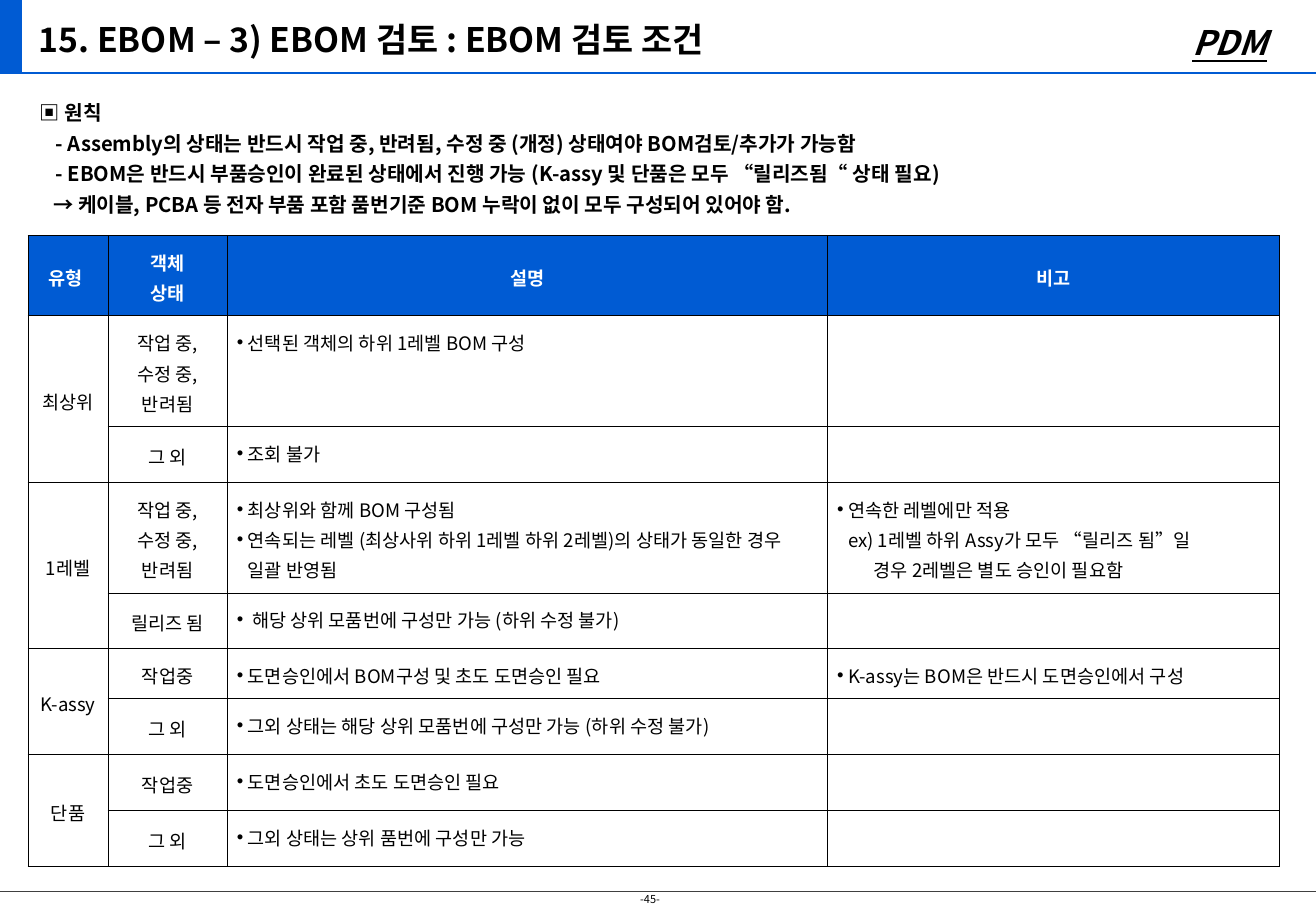
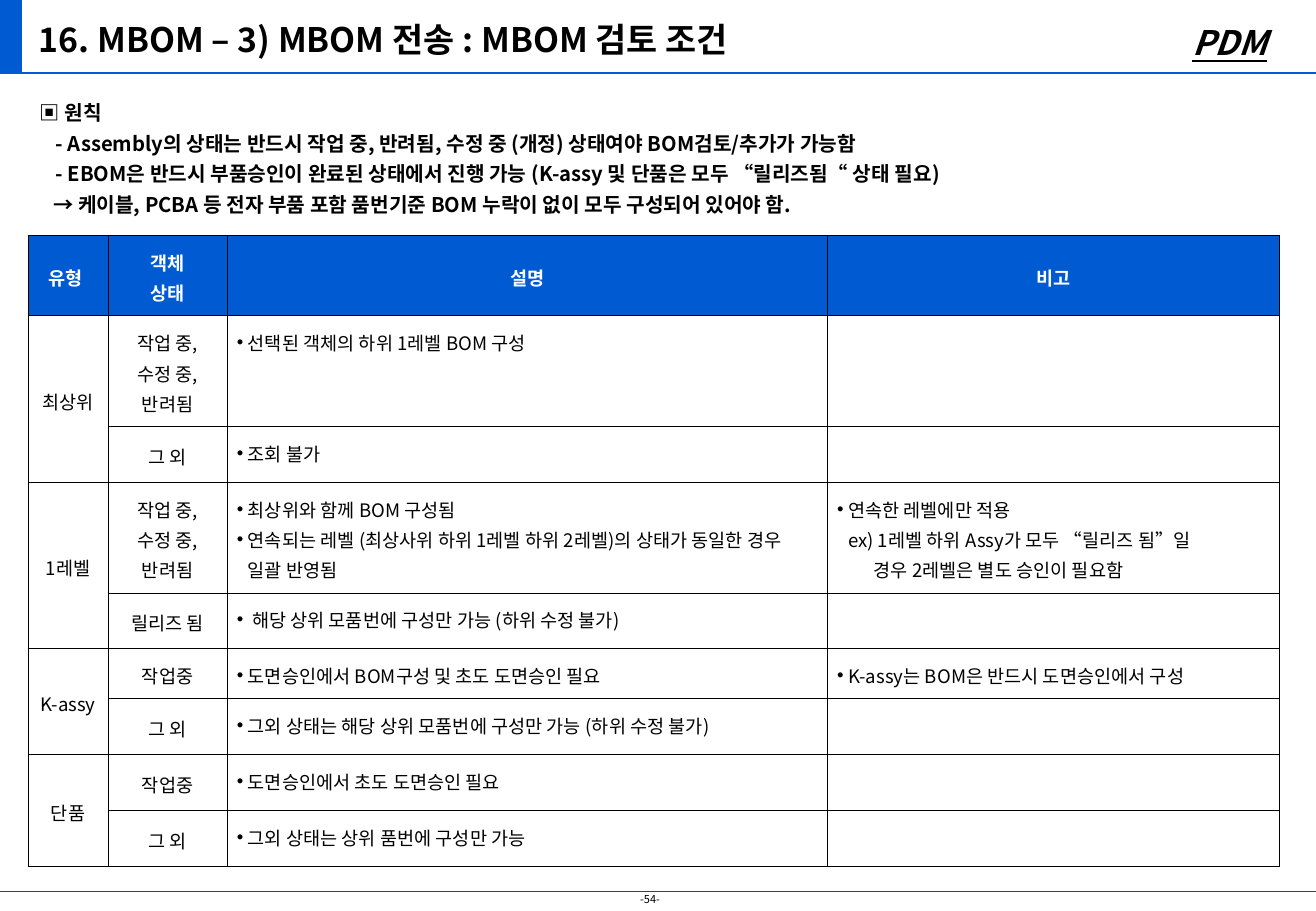
from dataclasses import dataclass

from lxml.etree import SubElement
from pptx import Presentation
from pptx.dml.color import RGBColor as RGB
from pptx.enum.shapes import MSO_CONNECTOR as CONN, MSO_SHAPE as SHAPE
from pptx.enum.text import MSO_ANCHOR as ANCHOR, MSO_AUTO_SIZE as AUTO, PP_ALIGN as ALIGN
from pptx.oxml.ns import qn
from pptx.util import Pt

PX = 9144  # 100 px to the inch


@dataclass(frozen=True)
class Theme:
    font: str = "Noto Sans CJK KR"
    blue: RGB = RGB(0x00, 0x5B, 0xD3)
    black: RGB = RGB(0, 0, 0)
    white: RGB = RGB(255, 255, 255)
    rule: RGB = RGB(0x40, 0x40, 0x40)
    title: float = 20
    body: float = 12
    cell: float = 11
    page: float = 6.5
    leading: int = 18


T = Theme()
SLIDE = (1083, 750)
COLS = (66, 98, 494, 372)
LINE, INSET, HANG = 25, 8, 9

PRINCIPLES = [  # text, indent
    ("▣ 원칙", 0),
    ("- Assembly의 상태는 반드시 작업 중, 반려됨, 수정 중 (개정) 상태여야 BOM검토/추가가 가능함", 13),
    ("- EBOM은 반드시 부품승인이 완료된 상태에서 진행 가능 (K-assy 및 단품은 모두 “릴리즈됨“ 상태 필요)", 13),
    ("→ 케이블, PCBA 등 전자 부품 포함 품번기준 BOM 누락이 없이 모두 구성되어 있어야 함.", 11),
]
HEADER = (["유형 "], ["객체", "상태"], ["설명"], ["비고"])
EDITING = ["작업 중,", "수정 중,", "반려됨"]
# type: its two rows of (status, description, remark)
GROUPS = {
    "최상위": [
        (EDITING, ["선택된 객체의 하위 1레벨 BOM 구성"], []),
        (["그 외"], ["조회 불가"], []),
    ],
    "1레벨": [
        (EDITING,
         ["최상위와 함께 BOM 구성됨",
          "연속되는 레벨 (최상사위 하위 1레벨 하위 2레벨)의 상태가 동일한 경우 일괄 반영됨"],
         ["연속한 레벨에만 적용",
          ("ex) 1레벨 하위 Assy가 모두 “릴리즈 됨”일", HANG),
          ("경우 2레벨은 별도 승인이 필요함", 30)]),
        (["릴리즈 됨"], [" 해당 상위 모품번에 구성만 가능 (하위 수정 불가)"], []),
    ],
    "K-assy": [
        (["작업중"], ["도면승인에서 BOM구성 및 초도 도면승인 필요"],
         ["K-assy는 BOM은 반드시 도면승인에서 구성"]),
        (["그 외"], ["그외 상태는 해당 상위 모품번에 구성만 가능 (하위 수정 불가)"], []),
    ],
    "단품": [
        (["작업중"], ["도면승인에서 초도 도면승인 필요"], []),
        (["그 외"], ["그외 상태는 상위 품번에 구성만 가능"], []),
    ],
}


def emu(*lengths):
    return [round(n * PX) for n in lengths]


def apply(target, fmt):
    for name, value in fmt.items():
        setattr(target, name, value)


# --- text ---
def add_run(p, text, size, color=T.black, **fmt):
    r = p.add_run()
    r.text = text
    apply(r.font, {"name": T.font, "size": Pt(size), **fmt})
    r.font.color.rgb = color
    SubElement(r.font._element, qn("a:ea"), typeface=T.font)


def set_indent(p, left, first=0, bullet=None):
    pPr = p._p.get_or_add_pPr()
    for name, value in zip(("marL", "indent"), emu(left, first)):
        pPr.set(name, str(value))
    if bullet:
        SubElement(pPr, qn("a:buFont"), typeface="Arial")
        SubElement(pPr, qn("a:buChar"), char=bullet)


def paragraphs(tf, count):
    return [tf.paragraphs[0]] + [tf.add_paragraph() for _ in range(count - 1)]


def add_box(s, box, **fmt):
    tf = s.shapes.add_textbox(*emu(*box)).text_frame
    apply(tf, {"word_wrap": True, "auto_size": AUTO.SHAPE_TO_FIT_TEXT, **fmt})
    return tf


def add_rule(s, x1, x2, y, color, width):
    line = s.shapes.add_connector(CONN.STRAIGHT, *emu(x1, y, x2, y))
    line.line.color.rgb = color
    line.line.width = Pt(width)
    SubElement(line._element.spPr, qn("a:effectLst"))


# --- header band and footer ---
def add_frame(s, title, page, width):
    sp = s.shapes.add_shape(SHAPE.RECTANGLE, *emu(-2, 0, 20, 60))
    sp.shadow.inherit = False
    sp.fill.solid()
    sp.fill.fore_color.rgb = T.blue
    sp.line.fill.background()
    add_rule(s, 0, width, 60, T.blue, 1)
    add_rule(s, -3, width + 1, 734, T.rule, 0.5)

    tf = add_box(s, (517, 730, 39, 21), word_wrap=False)
    add_run(tf.paragraphs[0], f"-{page}-", T.page)
    tf = add_box(s, (880, 13, 173, 44), vertical_anchor=ANCHOR.MIDDLE)
    tf.paragraphs[0].alignment = ALIGN.RIGHT
    add_run(tf.paragraphs[0], "PDM", T.title, bold=True, italic=True, underline=True)
    tf = add_box(s, (22, 10, 1040, 44), vertical_anchor=ANCHOR.MIDDLE)
    add_run(tf.paragraphs[0], title, T.title, bold=True)


# --- principles ---
def add_principles(s, box):
    tf = add_box(s, box)
    for p, (text, left) in zip(paragraphs(tf, len(PRINCIPLES)), PRINCIPLES):
        set_indent(p, left)
        p.line_spacing = Pt(T.leading)
        add_run(p, text, T.body, bold=True)


# --- condition table ---
def style_cell(cell, fill):
    apply(cell, dict.fromkeys(("margin_left", "margin_right", "margin_top", "margin_bottom"),
                              INSET * PX))
    tcPr = cell._tc.get_or_add_tcPr()
    for side in ("lnL", "lnR", "lnT", "lnB"):
        ln = SubElement(tcPr, qn(f"a:{side}"), w=str(Pt(0.5)))
        color = SubElement(ln, qn("a:solidFill"))
        SubElement(color, qn("a:srgbClr"), val=str(T.black))
    cell.fill.solid()
    cell.fill.fore_color.rgb = fill


def fill_cell(cell, items, header=False, centred=False):
    style_cell(cell, T.blue if header else T.white)
    cell.vertical_anchor = ANCHOR.MIDDLE if centred else ANCHOR.TOP
    ps = paragraphs(cell.text_frame, len(items))
    for p in ps:
        p.line_spacing = Pt(T.leading)
    for p, item in zip(ps, items):
        if isinstance(item, tuple):
            text, left = item
            set_indent(p, left)
        else:
            text = item
            set_indent(p, HANG, -HANG, None if centred else "•")
        if centred:
            p.alignment = ALIGN.CENTER
        add_run(p, text, T.cell, T.white if header else T.black, bold=header)


def add_conditions(s, left, top):
    rows = [HEADER]
    for kind, pair in GROUPS.items():
        rows += [([kind] if i == 0 else [], *cells) for i, cells in enumerate(pair)]
    heights = [LINE * len(row[1]) + 2 * INSET for row in rows]
    frame = s.shapes.add_table(len(rows), len(COLS),
                               *emu(left, top, sum(COLS), sum(heights)))
    table = frame.table
    apply(table, {"first_row": False, "horz_banding": False})
    for col, width in zip(table.columns, COLS):
        col.width = width * PX
    for r, (row, height) in enumerate(zip(rows, heights)):
        table.rows[r].height = height * PX
        for c, items in enumerate(row):
            fill_cell(table.cell(r, c), items, header=r == 0, centred=r == 0 or c < 2)
    for r in range(1, len(rows), 2):
        table.cell(r, 0).merge(table.cell(r + 1, 0))


def add_condition_slide(prs, title, page):
    s = prs.slides.add_slide(prs.slide_layouts[6])
    add_frame(s, title, page, SLIDE[0])
    add_conditions(s, 23, 194)
    add_principles(s, (23, 73, 1030, 111))


def main():
    prs = Presentation()
    prs.slide_width, prs.slide_height = emu(*SLIDE)
    add_condition_slide(prs, "15. EBOM – 3) EBOM 검토 : EBOM 검토 조건", 45)
    add_condition_slide(prs, "16. MBOM – 3) MBOM 전송 : MBOM 검토 조건", 54)
    prs.save("out.pptx")


if __name__ == "__main__":
    main()
